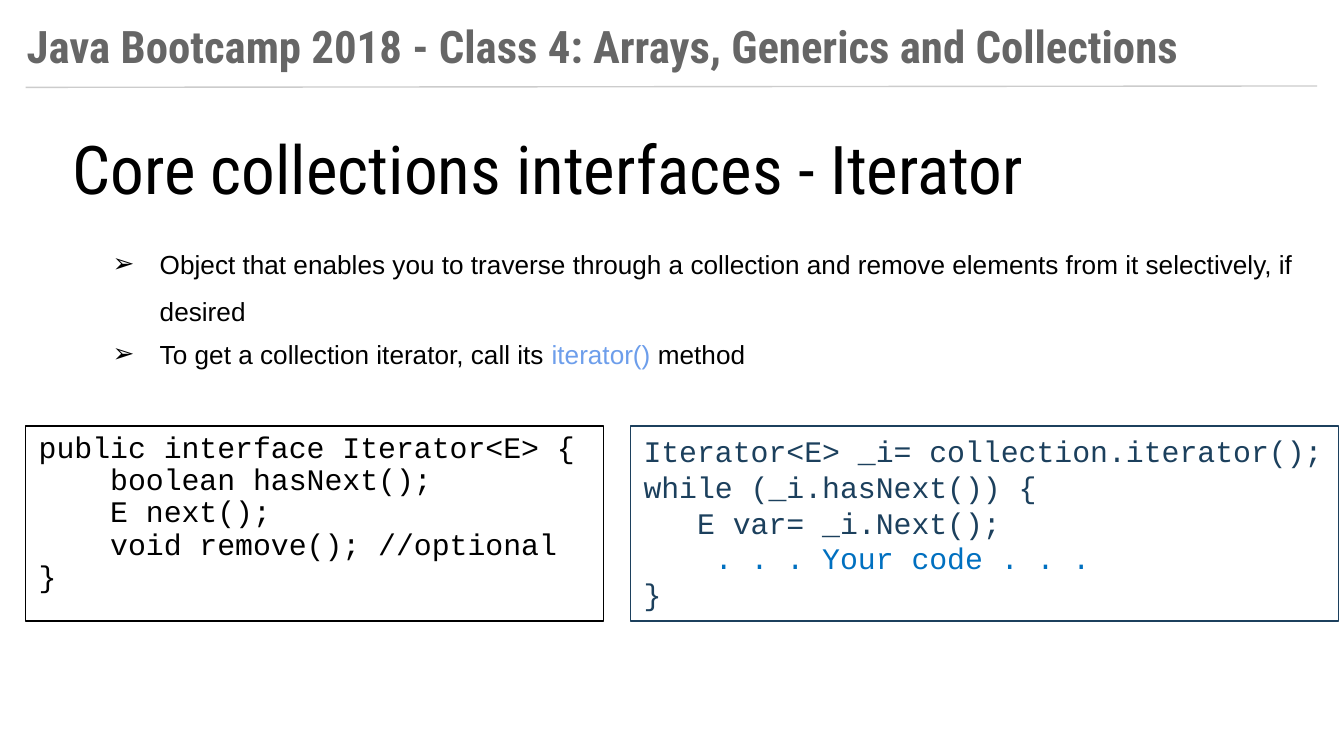
from lxml.etree import SubElement
from pptx import Presentation
from pptx.dml.color import RGBColor
from pptx.enum.shapes import MSO_CONNECTOR, MSO_SHAPE
from pptx.enum.text import MSO_ANCHOR, MSO_AUTO_SIZE, PP_ALIGN
from pptx.oxml.ns import qn
from pptx.util import Inches, Pt

BLACK = RGBColor(0x00, 0x00, 0x00)
GRAY = RGBColor(0x66, 0x66, 0x66)
RULE_GRAY = RGBColor(0xCC, 0xCC, 0xCC)
METHOD_BLUE = RGBColor(0x6D, 0x9E, 0xEB)
NAVY = RGBColor(0x1C, 0x40, 0x5D)
CODE_BLUE = RGBColor(0x00, 0x70, 0xC0)

HEADING_FONT = "Roboto Condensed"
BODY_FONT = "Arial"
CODE_FONT = "Courier New"

INTERFACE_CODE = [
    "public interface Iterator<E> {",
    "    boolean hasNext();",
    "    E next();",
    "    void remove(); //optional",
    "}",
]
LOOP_CODE = [
    "Iterator<E> _i= collection.iterator();",
    "while (_i.hasNext()) {",
    "   E var= _i.Next();",
    "    . . . Your code . . .",
    "}",
]


def style_run(run, font, size, color, bold=False):
    run.font.name = font
    run.font.size = Pt(size)
    run.font.color.rgb = color
    run.font.bold = bold


def set_up_frame(frame, vertical_inset, anchor=MSO_ANCHOR.TOP):
    frame.word_wrap = True
    frame.auto_size = MSO_AUTO_SIZE.NONE
    frame.vertical_anchor = anchor
    frame.margin_left = frame.margin_right = Inches(0.1)
    frame.margin_top = frame.margin_bottom = Inches(vertical_inset)


def add_text_box(slide, left, top, width, height):
    box = slide.shapes.add_textbox(
        Inches(left), Inches(top), Inches(width), Inches(height))
    set_up_frame(box.text_frame, 0.1)
    return box.text_frame


def add_header(slide, text):
    rule = slide.shapes.add_connector(
        MSO_CONNECTOR.STRAIGHT,
        Inches(0.19), Inches(0.65), Inches(9.8), Inches(0.64))
    rule.line.color.rgb = RULE_GRAY
    rule.line.width = Pt(0.75)
    SubElement(rule._element.spPr, qn("a:effectLst"))

    frame = add_text_box(slide, 0.1, 0.04, 9.32, 0.5)
    frame.text = text
    style_run(frame.paragraphs[0].runs[0], HEADING_FONT, 24, GRAY, bold=True)


def set_title(slide, text):
    title = slide.shapes.title
    title.left, title.top = Inches(0.44), Inches(0.85)
    title.width, title.height = Inches(8.98), Inches(0.78)
    frame = title.text_frame
    set_up_frame(frame, 0.1)
    frame.text = text
    frame.paragraphs[0].alignment = PP_ALIGN.LEFT
    style_run(frame.paragraphs[0].runs[0], HEADING_FONT, 36, BLACK)


def add_bullet(slide, top, parts):
    paragraph = add_text_box(slide, 0.59, top, 9.32, 0.5).paragraphs[0]
    paragraph.line_spacing = 1.5
    for text, color in parts:
        run = paragraph.add_run()
        run.text = text
        style_run(run, BODY_FONT, 14, color)

    # Hanging indent with an arrow bullet
    properties = paragraph._p.get_or_add_pPr()
    properties.set("marL", str(Inches(0.5)))
    properties.set("indent", str(Inches(-0.35)))
    bullet_color = SubElement(properties, qn("a:buClr"))
    SubElement(bullet_color, qn("a:srgbClr")).set("val", str(BLACK))
    SubElement(properties, qn("a:buFont")).set("typeface", BODY_FONT)
    SubElement(properties, qn("a:buChar")).set("char", "➢")


def add_code_box(slide, left, width, lines, color, anchor, line_spacing):
    box = slide.shapes.add_shape(
        MSO_SHAPE.RECTANGLE,
        Inches(left), Inches(3.17), Inches(width), Inches(1.45))
    box.shadow.inherit = False
    box.fill.background()
    box.line.color.rgb = color
    box.line.width = Pt(0.75)
    frame = box.text_frame
    set_up_frame(frame, 0.05, anchor)
    frame.text = "\n".join(lines)
    for paragraph in frame.paragraphs:
        paragraph.alignment = PP_ALIGN.LEFT
        paragraph.line_spacing = line_spacing
        style_run(paragraph.runs[0], CODE_FONT, 16, color)
    return frame


def main():
    # Widescreen, 16:9
    prs = Presentation()
    prs.slide_width = Inches(10)
    prs.slide_height = Inches(10 * 9 / 16)
    slide = prs.slides.add_slide(prs.slide_layouts[5])

    # Header and title
    add_header(slide, "Java Bootcamp 2018 - Class 4: "
                      "Arrays, Generics and Collections")
    set_title(slide, "Core collections interfaces - Iterator")

    # Explanation
    add_bullet(slide, 1.63, [
        ("Object that enables you to traverse through a collection and "
         "remove elements from it selectively, if desired", BLACK)])
    add_bullet(slide, 2.3, [
        ("To get a collection iterator, call its ", BLACK),
        ("iterator()", METHOD_BLUE),
        (" method", BLACK)])

    # Interface and its use in a loop
    add_code_box(slide, 0.19, 4.3, INTERFACE_CODE, BLACK, MSO_ANCHOR.TOP, 0.9)
    loop = add_code_box(
        slide, 4.69, 5.27, LOOP_CODE, NAVY, MSO_ANCHOR.TOP, 1.0)
    loop.paragraphs[3].runs[0].font.color.rgb = CODE_BLUE

    prs.save("out.pptx")


if __name__ == "__main__":
    main()
